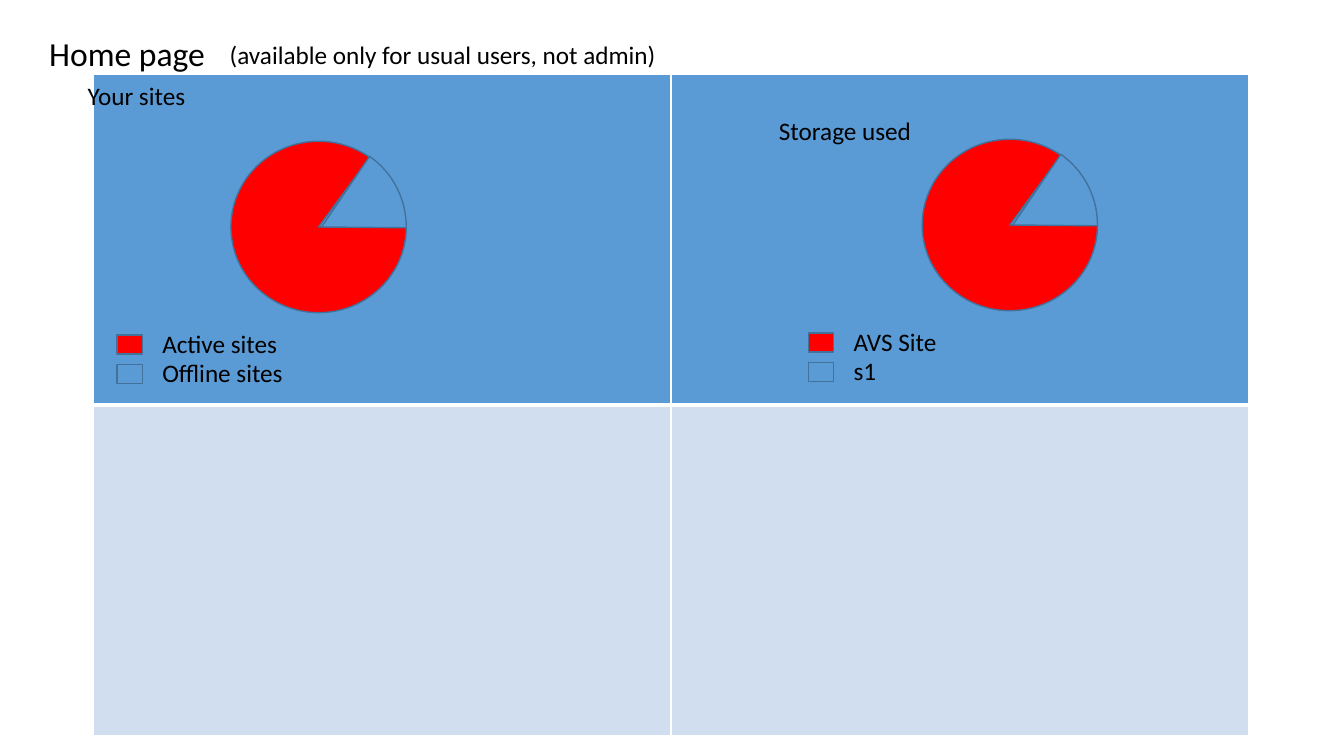
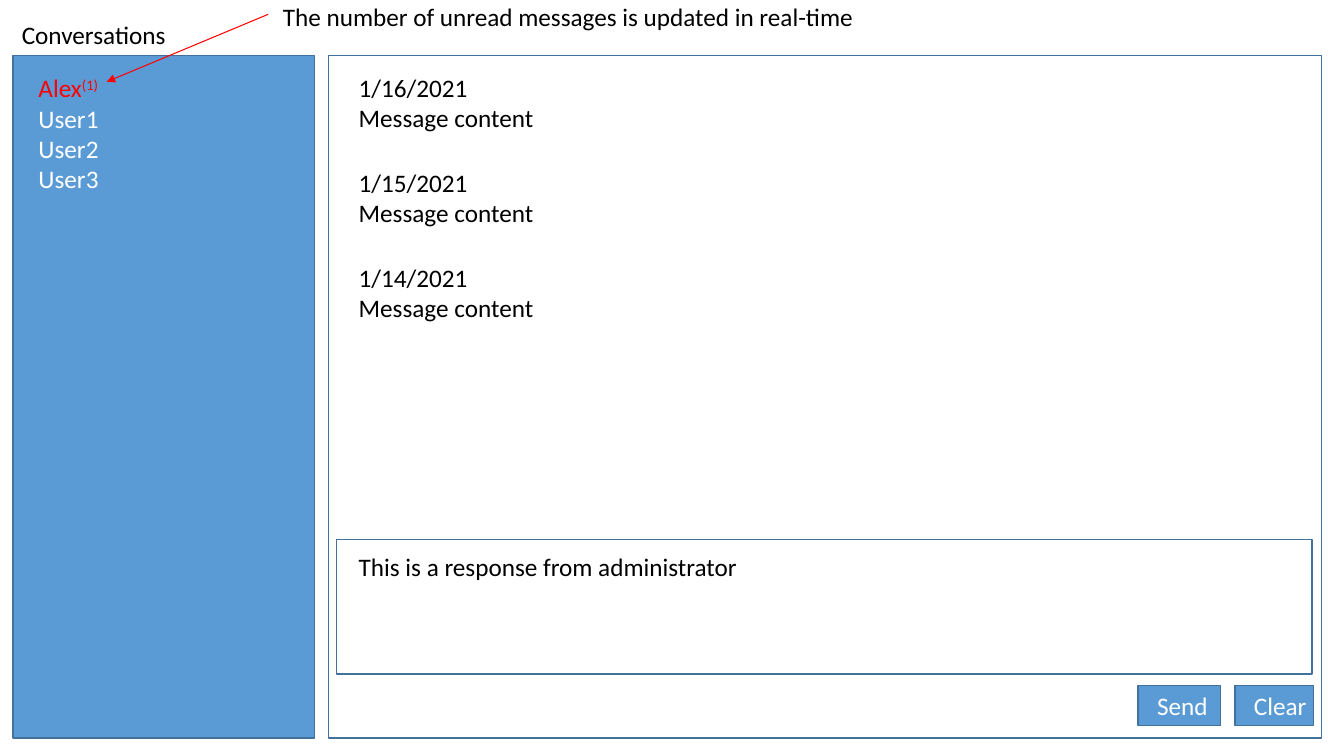
from dataclasses import dataclass
from typing import Optional

from lxml.etree import SubElement
from pptx import Presentation
from pptx.dml.color import RGBColor
from pptx.enum.shapes import MSO_CONNECTOR, MSO_SHAPE
from pptx.enum.text import MSO_ANCHOR, PP_ALIGN
from pptx.oxml.ns import qn
from pptx.util import Cm, Pt


@dataclass(frozen=True)
class Theme:
    font: str = "Calibri"
    title: int = 24
    body: int = 18
    black: str = "000000"
    white: str = "FFFFFF"
    red: str = "FF0000"
    blue: str = "5B9BD5"
    pale: str = "D0DEEF"
    outline: str = "42719B"


@dataclass(frozen=True)
class Box:
    x: float
    y: float
    w: float
    h: float

    def lengths(self):
        return Cm(self.x), Cm(self.y), Cm(self.w), Cm(self.h)


@dataclass(frozen=True)
class PieCard:
    title: str
    title_y: float
    x: float
    y: float
    labels: tuple


@dataclass(frozen=True)
class Panel:
    box: Box
    fill: Optional[str] = None
    text: str = ""
    color: str = "000000"
    inset: tuple = (0.25, 0.13)


T = Theme()
LINE_H = 1.02

CARDS = (
    PieCard("Your sites", 1.91, 2.95, 3.56, ("Active sites", "Offline sites")),
    PieCard("Storage used", 2.77, 20.37, 3.51, ("AVS Site", "s1")),
)

SIDEBAR = Panel(Box(0.33, 1.4, 7.59, 17.2), T.blue,
                "Alex\nUser1\nUser2\nUser3", T.white, (0.64, 0.43))
THREAD = Panel(Box(8.28, 1.4, 25.02, 17.2))
REPLY = Panel(Box(8.48, 13.59, 24.59, 3.4),
              text="This is a response from administrator", inset=(0.56, 0.3))
BUTTONS = (
    Panel(Box(28.68, 17.27, 2.08, LINE_H), T.blue, "Send", T.white, (0.48, 0.13)),
    Panel(Box(31.12, 17.27, 1.98, LINE_H), T.blue, "Clear", T.white, (0.48, 0.13)),
)
MESSAGE_DATES = ("1/16/2021", "1/15/2021", "1/14/2021")
MESSAGE_PITCH = 2.39


def rgb(color: str) -> RGBColor:
    return RGBColor.from_string(color)


def write(tf, text: str, size: int = T.body, color: str = T.black) -> None:
    tf.text = text
    tf.word_wrap = True
    tf.vertical_anchor = MSO_ANCHOR.TOP
    for p in tf.paragraphs:
        p.alignment = PP_ALIGN.LEFT
        for r in p.runs:
            style_run(r, size, color)


def style_run(r, size: int, color: str) -> None:
    r.font.name = T.font
    r.font.size = Pt(size)
    r.font.color.rgb = rgb(color)


def add_label(s, box: Box, text: str, size: int = T.body) -> None:
    write(s.shapes.add_textbox(*box.lengths()).text_frame, text, size)


def add_outlined(s, kind: MSO_SHAPE, box: Box, fill: Optional[str]):
    sp = s.shapes.add_shape(kind, *box.lengths())
    sp.shadow.inherit = False
    if fill:
        sp.fill.solid()
        sp.fill.fore_color.rgb = rgb(fill)
    else:
        sp.fill.background()
    sp.line.color.rgb = rgb(T.outline)
    sp.line.width = Pt(1)
    return sp


def add_panel(s, panel: Panel):
    sp = add_outlined(s, MSO_SHAPE.RECTANGLE, panel.box, panel.fill)
    if panel.text:
        tf = sp.text_frame
        write(tf, panel.text, color=panel.color)
        tf.margin_left, tf.margin_top = (Cm(v) for v in panel.inset)
        tf.margin_right = 0
    return sp


def add_pie_card(s, card: PieCard) -> None:
    slices = (
        (Box(card.x + 2.87, card.y, 4.42, 4.32), T.red, (0, 183.808)),
        (Box(card.x + 3.02, card.y, 4.27, 4.32), T.blue, (182.547, 0.316)),
    )
    for row, ((box, fill, angles), label) in enumerate(zip(slices, card.labels)):
        pie = add_outlined(s, MSO_SHAPE.PIE, box, fill)
        for i, angle in enumerate(angles):
            pie.adjustments[i] = angle
        swatch = Box(card.x, card.y + 4.88 + row * 0.75, 0.64, 0.48)
        add_outlined(s, MSO_SHAPE.RECTANGLE, swatch, fill)
        add_label(s, Box(card.x + 0.89, card.y + 4.6 + row * 0.73, 3.94, LINE_H), label)
    add_label(s, Box(card.x - 0.99, card.title_y, 5.82, LINE_H), card.title)


def set_borders(cell, widths: dict) -> None:
    tc_pr = cell._tc.get_or_add_tcPr()
    for side in ("L", "R", "T", "B"):
        ln = SubElement(tc_pr, qn(f"a:ln{side}"), w=str(Pt(widths.get(side, 1))))
        fill = SubElement(ln, qn("a:solidFill"))
        SubElement(fill, qn("a:srgbClr"), val=T.white)


def add_grid(s) -> None:
    box = Box(2.36, 1.88, 29.1, 16.66)
    table = s.shapes.add_table(2, 2, *box.lengths()).table
    table.first_row = table.horz_banding = False
    rows = ((T.blue, {"B": 3}), (T.pale, {"T": 3}))
    for i, (color, widths) in enumerate(rows):
        for cell in table.rows[i].cells:
            set_borders(cell, widths)
            cell.fill.solid()
            cell.fill.fore_color.rgb = rgb(color)


def add_arrow(s, start: tuple, end: tuple) -> None:
    cxn = s.shapes.add_connector(
        MSO_CONNECTOR.STRAIGHT, *(Cm(v) for v in start + end))
    cxn.line.color.rgb = rgb(T.red)
    cxn.line.width = Pt(0.75)
    SubElement(cxn.line._get_or_add_ln(), qn("a:tailEnd"), type="triangle")
    SubElement(cxn._element.spPr, qn("a:effectLst"))


def build_home(s) -> None:
    add_label(s, Box(0.99, 0.71, 28.35, 1.27), "Home page", T.title)
    add_label(s, Box(5.54, 0.86, 14.83, LINE_H),
              "(available only for usual users, not admin)")
    add_grid(s)
    for card in CARDS:
        add_pie_card(s, card)


def build_conversations(s) -> None:
    add_label(s, Box(0.3, 0.36, 4.17, LINE_H), "Conversations")
    unread = add_panel(s, SIDEBAR).text_frame.paragraphs[0]
    count = unread.add_run()
    count.text = "(1)"
    for r in unread.runs:
        style_run(r, T.body, T.red)
    count.font._element.set("baseline", "30000")

    add_panel(s, THREAD)
    for i, date in enumerate(MESSAGE_DATES):
        add_label(s, Box(8.79, 1.7 + i * MESSAGE_PITCH, 24.03, 1.8),
                  f"{date}\nMessage content")
    for panel in (REPLY, *BUTTONS):
        add_panel(s, panel)

    add_arrow(s, (6.76, 0.36), (2.69, 2.06))
    add_label(s, Box(6.88, -0.1, 18.36, LINE_H),
              "The number of unread messages is updated in real-time")


def main() -> None:
    prs = Presentation()
    prs.slide_width, prs.slide_height = Cm(33.87), Cm(19.05)
    for build in (build_home, build_conversations):
        build(prs.slides.add_slide(prs.slide_layouts[6]))
    prs.save("out.pptx")


if __name__ == "__main__":
    main()
